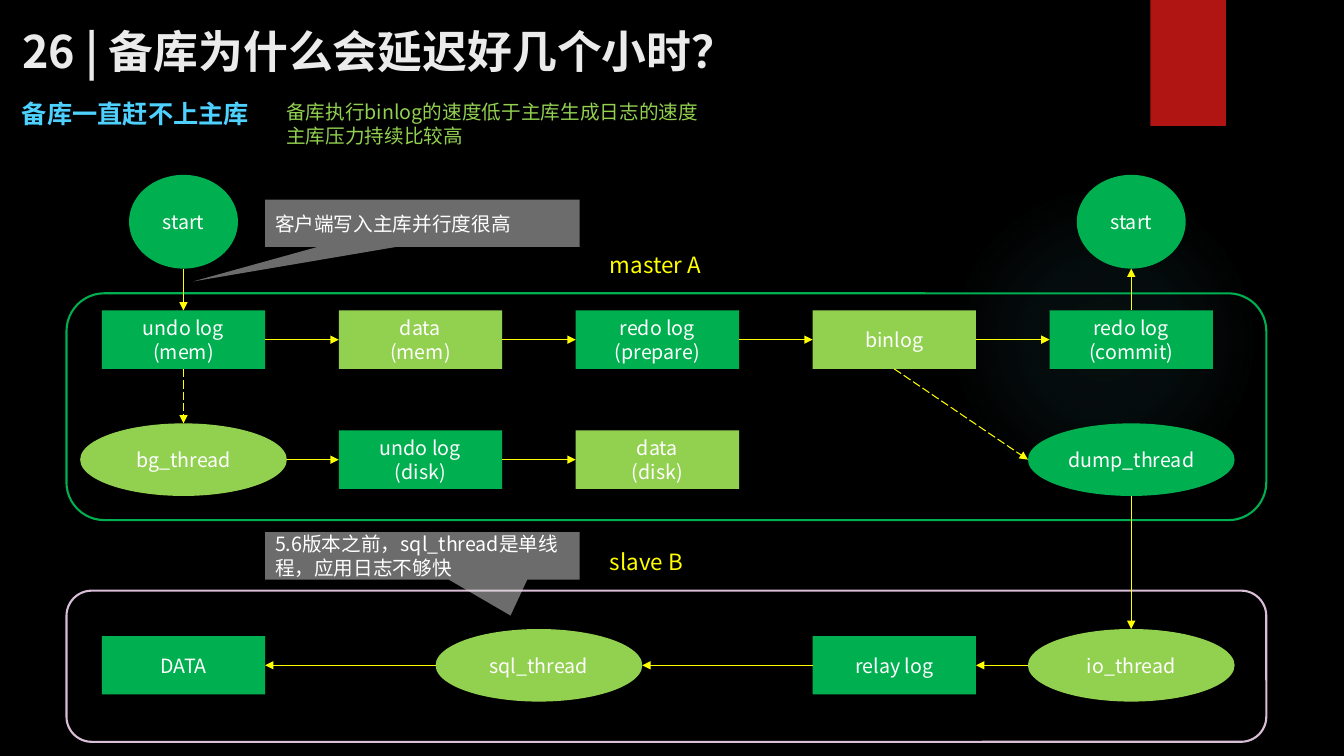
import pptx
import pptx.util
import pptx.dml.color
import pptx.enum.dml
import pptx.enum.shapes
import pptx.enum.text
import pptx.oxml
import pptx.oxml.ns
from lxml import etree

RGB = pptx.dml.color.RGBColor
KIND = pptx.enum.shapes.MSO_SHAPE
ALIGN = pptx.enum.text.PP_ALIGN
qn = pptx.oxml.ns.qn

PX = 9144
FONT = "Noto Sans CJK SC"
BLACK = RGB(0x00, 0x00, 0x00)
WHITE = RGB(0xFF, 0xFF, 0xFF)
PALE = RGB(0xEB, 0xEB, 0xEB)
GREY = RGB(0xD9, 0xD9, 0xD9)
RED = RGB(0xB0, 0x15, 0x13)
SKY = RGB(0x4F, 0xD1, 0xFF)
GREEN = RGB(0x00, 0xB0, 0x50)
LIME = RGB(0x92, 0xD0, 0x50)
MAUVE = RGB(0xD9, 0xBE, 0xD7)
YELLOW = RGB(0xFF, 0xFF, 0x00)
TEAL = RGB(0x50, 0xB9, 0xC1)

BOX = (KIND.RECTANGLE, 162, 58)
OVAL = (KIND.OVAL, 205, 72)
DISC = (KIND.OVAL, 108, 93)
LEFT, STEP = 182, 235
TOP, MEM, DISK, SLAVE = 220, 337, 456, 660
UP, DOWN, WEST, EAST = (0, -1), (0, 1), (-1, 0), (1, 0)

NODES = [
    ("start", DISC, 0, TOP, GREEN, ["start"]),
    ("undo", BOX, 0, MEM, GREEN, ["undo log", "(mem)"]),
    ("data", BOX, 1, MEM, LIME, ["data", "(mem)"]),
    ("redo", BOX, 2, MEM, GREEN, ["redo log", "(prepare)"]),
    ("binlog", BOX, 3, MEM, LIME, ["binlog"]),
    ("commit", BOX, 4, MEM, GREEN, ["redo log", "(commit)"]),
    ("end", DISC, 4, TOP, GREEN, ["start"]),
    ("bg", OVAL, 0, DISK, LIME, ["bg_thread"]),
    ("undo disk", BOX, 1, DISK, GREEN, ["undo log", "(disk)"]),
    ("data disk", BOX, 2, DISK, LIME, ["data", "(disk)"]),
    ("dump", OVAL, 4, DISK, GREEN, ["dump_thread"]),
    ("DATA", BOX, 0, SLAVE, GREEN, ["DATA"]),
    ("sql", OVAL, 1.5, SLAVE, LIME, ["sql_thread"]),
    ("relay", BOX, 3, SLAVE, GREEN, ["relay log"]),
    ("io", OVAL, 4, SLAVE, LIME, ["io_thread"]),
]

LINKS = [
    ("start", DOWN, "undo", UP, False),
    ("undo", EAST, "data", WEST, False),
    ("data", EAST, "redo", WEST, False),
    ("redo", EAST, "binlog", WEST, False),
    ("binlog", EAST, "commit", WEST, False),
    ("commit", UP, "end", DOWN, False),
    ("binlog", DOWN, "dump", WEST, True),
    ("undo", DOWN, "bg", UP, True),
    ("bg", EAST, "undo disk", WEST, False),
    ("undo disk", EAST, "data disk", WEST, False),
    ("dump", DOWN, "io", UP, False),
    ("io", WEST, "relay", EAST, False),
    ("relay", WEST, "sql", EAST, False),
    ("sql", WEST, "DATA", EAST, False),
]


def scale(*spots):
    return [round(spot * PX) for spot in spots]


def write(shape, lines, size, tint, bold=False, align=ALIGN.LEFT, wrap=True):
    frame = shape.text_frame
    frame.word_wrap = wrap
    frame.auto_size = pptx.enum.text.MSO_AUTO_SIZE.NONE
    frame.vertical_anchor = pptx.enum.text.MSO_ANCHOR.MIDDLE
    for spot, line in enumerate(lines):
        para = frame.add_paragraph() if spot else frame.paragraphs[0]
        para.alignment = align
        para.line_spacing = pptx.util.Pt(round(size * 1.2))
        run = para.add_run()
        run.text = line
        run.font.size = pptx.util.Pt(size)
        run.font.bold = bold
        run.font.color.rgb = tint
        run.font.name = FONT
        etree.SubElement(run._r.get_or_add_rPr(), qn("a:ea"), typeface=FONT)


def label(slide, area, lines, size, tint, bold=False, wrap=True):
    box = slide.shapes.add_textbox(*scale(*area))
    write(box, lines, size, tint, bold, wrap=wrap)


def block(slide, kind, area, fill):
    shape = slide.shapes.add_shape(kind, *scale(*area))
    shape.shadow.inherit = False
    shape.line.fill.background()
    if fill is None:
        shape.fill.background()
    else:
        shape.fill.solid()
        shape.fill.fore_color.rgb = fill
    return shape


def fade(tone, share):
    etree.SubElement(tone, qn("a:alpha"), val=str(share * 1000))


def glow(slide, area):
    shape = block(slide, KIND.OVAL, area, TEAL)
    grad = etree.Element(qn("a:gradFill"), rotWithShape="1")
    stops = etree.SubElement(grad, qn("a:gsLst"))
    for place, share in ((0, 7), (36, 6), (69, 0)):
        stop = etree.SubElement(stops, qn("a:gs"), pos=str(place * 1000))
        fade(etree.SubElement(stop, qn("a:srgbClr"), val=str(TEAL)), share)
    round_fill = etree.SubElement(grad, qn("a:path"), path="circle")
    half = dict.fromkeys("ltrb", "50000")
    etree.SubElement(round_fill, qn("a:fillToRect"), half)
    props = shape.element.spPr
    props.replace(props.find(qn("a:solidFill")), grad)


def panel(slide, area, tint):
    shape = block(slide, KIND.ROUNDED_RECTANGLE, area, None)
    shape.line.color.rgb = tint
    shape.line.width = pptx.util.Pt(1.5)


def node(slide, form, col, row, fill, lines):
    kind, width, height = form
    mid = LEFT + STEP * col
    area = (mid - width / 2, row - height / 2, width, height)
    shape = block(slide, kind, area, fill)
    write(shape, lines, 14, WHITE, align=ALIGN.CENTER)
    return shape


def edge(shape, side):
    return (shape.left + shape.width * (1 + side[0]) // 2,
            shape.top + shape.height * (1 + side[1]) // 2)


def arrow(slide, start, end, dashed):
    link = slide.shapes.add_connector(
        pptx.enum.shapes.MSO_CONNECTOR.STRAIGHT, *start, *end)
    link.line.color.rgb = YELLOW
    link.line.width = pptx.util.Pt(0.75)
    if dashed:
        link.line.dash_style = pptx.enum.dml.MSO_LINE.LONG_DASH
    etree.SubElement(link.get_or_add_ln(), qn("a:tailEnd"), type="triangle")
    etree.SubElement(link.element.spPr, qn("a:effectLst"))


def callout(slide, top, tip, words):
    shape = block(slide, KIND.RECTANGULAR_CALLOUT, (263, top, 312, 47), GREY)
    shape.adjustments[0], shape.adjustments[1] = tip
    fade(shape.element.spPr.find(qn("a:solidFill"))[0], 50)
    write(shape, [words], 14, WHITE)


def main():
    deck = pptx.Presentation()
    deck.slide_width, deck.slide_height = scale(1333, 750)
    slide = deck.slides.add_slide(deck.slide_layouts[5])
    slide.background.fill.solid()
    slide.background.fill.fore_color.rgb = BLACK

    glow(slide, (941, 183, 308, 308))
    block(slide, KIND.RECTANGLE, (1141, 0, 75, 125), RED)
    title = slide.shapes.title
    title.left, title.top, title.width, title.height = scale(12, 17, 1219, 66)
    write(title, ["26 | 备库为什么会延迟好几个小时？"], 32, PALE, True)
    label(slide, (12, 92, 247, 40), ["备库一直赶不上主库"], 18, SKY, True, False)
    label(slide, (274, 94, 558, 57),
          ["备库执行binlog的速度低于主库生成日志的速度", "主库压力持续比较高"], 14, LIME)

    panel(slide, (66, 291, 1190, 225), GREEN)
    panel(slide, (66, 586, 1190, 150), MAUVE)
    nodes = {name: node(slide, *rest) for name, *rest in NODES}
    for start, leave, end, enter, dashed in LINKS:
        arrow(slide, edge(nodes[start], leave), edge(nodes[end], enter), dashed)

    label(slide, (595, 244, 169, 37), ["master A"], 16, YELLOW)
    label(slide, (595, 539, 169, 37), ["slave B"], 16, YELLOW)
    callout(slide, 198, (-0.73, 1.23), "客户端写入主库并行度很高")
    callout(slide, 528, (0.28, 1.26),
            "5.6版本之前，sql_thread是单线程，应用日志不够快")
    deck.save("out.pptx")


if __name__ == "__main__":
    main()
